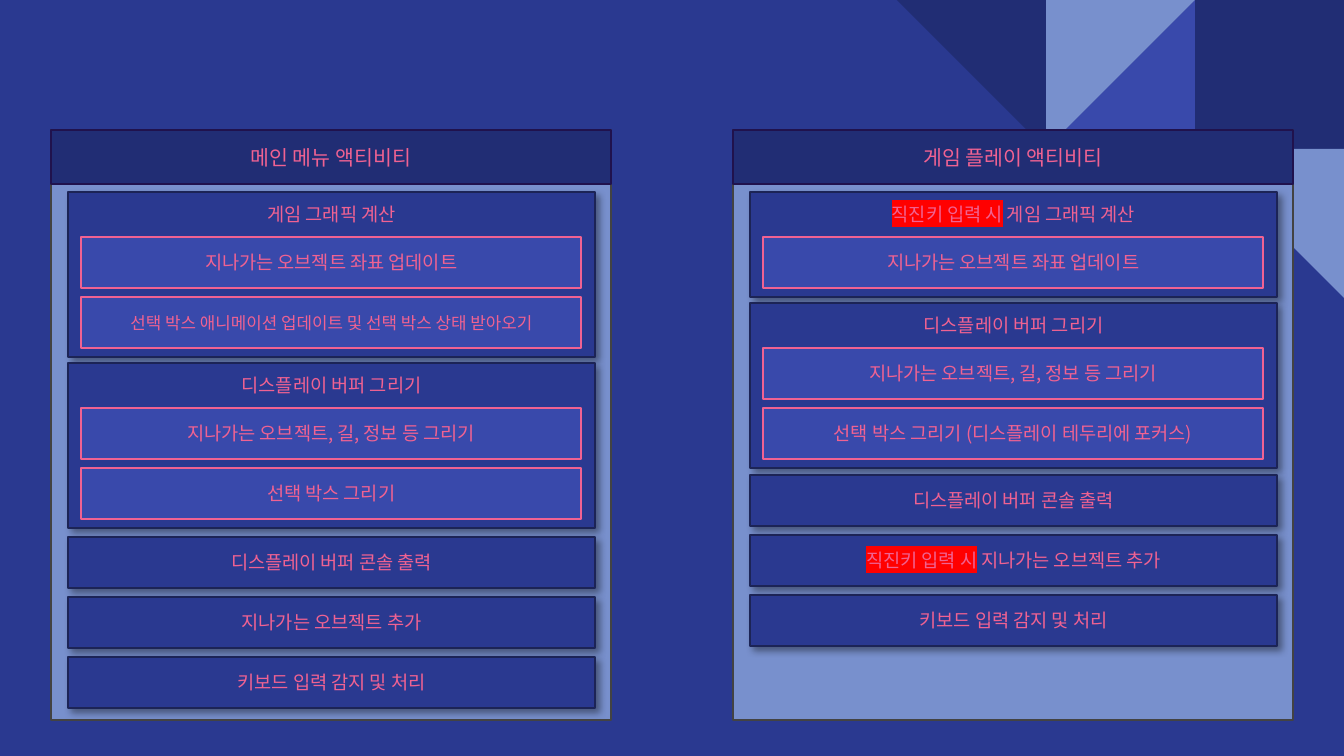
from lxml.etree import SubElement
from pptx import Presentation
from pptx.dml.color import RGBColor
from pptx.enum.shapes import MSO_SHAPE
from pptx.enum.text import MSO_ANCHOR, PP_ALIGN
from pptx.oxml import parse_xml
from pptx.oxml.ns import nsdecls, qn
from pptx.util import Inches, Pt

PX = 914400 / 134.4
FONT = "Noto Sans CJK KR"

BLUE = RGBColor(0x2A, 0x39, 0x90)
NAVY = RGBColor(0x21, 0x2D, 0x74)
INDIGO = RGBColor(0x39, 0x49, 0xAB)
LIGHT = RGBColor(0x78, 0x90, 0xCD)
PINK = RGBColor(0xF0, 0x62, 0x92)
RED = RGBColor(0xFF, 0x00, 0x00)
WHITE = RGBColor(0xFF, 0xFF, 0xFF)
GRAY_EDGE = RGBColor(0x43, 0x43, 0x43)
PURPLE_EDGE = RGBColor(0x20, 0x12, 0x4D)
NAVY_EDGE = RGBColor(0x1C, 0x24, 0x56)

# Panel geometry in px
PANEL_TOP, PANEL_WIDTH, PANEL_HEIGHT, HEADER_HEIGHT = 130, 560, 590, 54
SECTION_TOP, SECTION_INSET, SECTION_WIDTH, SECTION_GAP = 192, 17, 527, 6
ITEM_INSET, ITEM_WIDTH, ROW_HEIGHT, ROW_PITCH, TITLE_HEIGHT = 30, 500, 51, 60, 45

STRAIGHT_KEY = "직진키 입력 시"
MOVE_OBJECTS = "지나가는 오브젝트 좌표 업데이트"
DRAW_BUFFER = "디스플레이 버퍼 그리기"
DRAW_OBJECTS = "지나가는 오브젝트, 길, 정보 등 그리기"
PRINT_BUFFER = "디스플레이 버퍼 콘솔 출력"
READ_KEYS = "키보드 입력 감지 및 처리"


def px(length):
    return round(length * PX)


def add_box(slide, box, fill, edge=None, edge_width=0.75, kind=MSO_SHAPE.RECTANGLE):
    shape = slide.shapes.add_shape(kind, *(px(v) for v in box))
    shape.shadow.inherit = False
    shape.fill.solid()
    shape.fill.fore_color.rgb = fill
    if edge is None:
        shape.line.fill.background()
    else:
        shape.line.color.rgb = edge
        shape.line.width = Pt(edge_width)
    return shape


def add_shadow(shape):
    effects = shape._element.spPr.find(qn("a:effectLst"))
    effects.append(parse_xml(
        f'<a:outerShdw {nsdecls("a")} blurRad="{Pt(4)}" dist="{Pt(3)}" dir="2700000"'
        ' algn="bl" rotWithShape="0"><a:srgbClr val="000000">'
        '<a:alpha val="40000"/></a:srgbClr></a:outerShdw>'))


def add_run(paragraph, text, size, highlight=None):
    run = paragraph.add_run()
    run.text = text
    run.font.size = Pt(size)
    run.font.name = FONT
    run.font.color.rgb = PINK
    properties = run._r.get_or_add_rPr()
    for script in ("a:ea", "a:cs"):
        SubElement(properties, qn(script), typeface=FONT)
    properties.insert(0, parse_xml(
        f'<a:ln {nsdecls("a")} w="{Pt(0.75)}"><a:solidFill>'
        f'<a:srgbClr val="{WHITE}"/></a:solidFill></a:ln>'))
    if highlight is not None:
        properties.find(qn("a:latin")).addprevious(parse_xml(
            f'<a:highlight {nsdecls("a")}><a:srgbClr val="{highlight}"/></a:highlight>'))


def add_label(shape, text, size=10, anchor=MSO_ANCHOR.MIDDLE, spacing=None):
    """Write the label, highlighting the key condition where it leads."""
    frame = shape.text_frame
    frame.word_wrap = True
    frame.vertical_anchor = anchor
    frame.margin_left = frame.margin_right = Inches(0.1)
    frame.margin_top = frame.margin_bottom = Inches(0.1)
    paragraph = frame.paragraphs[0]
    paragraph.alignment = PP_ALIGN.CENTER
    if spacing:
        paragraph.line_spacing = spacing
    if text.startswith(STRAIGHT_KEY):
        add_run(paragraph, STRAIGHT_KEY, size, RED)
        text = text.removeprefix(STRAIGHT_KEY)
    add_run(paragraph, text, size)


def add_block(slide, left, top, height):
    block = add_box(slide, (left + SECTION_INSET, top, SECTION_WIDTH, height), BLUE, NAVY_EDGE)
    add_shadow(block)
    return block


def add_section(slide, left, top, title, items):
    height = TITLE_HEIGHT + ROW_PITCH * len(items)
    section = add_block(slide, left, top, height)
    add_label(section, title, anchor=MSO_ANCHOR.TOP, spacing=0.9)
    for row, (text, size) in enumerate(items):
        item_top = top + TITLE_HEIGHT + row * ROW_PITCH
        item = add_box(slide, (left + ITEM_INSET, item_top, ITEM_WIDTH, ROW_HEIGHT),
                       INDIGO, PINK, 1)
        # The smaller label is centred in its row
        anchor = MSO_ANCHOR.TOP if size == 10 else MSO_ANCHOR.MIDDLE
        add_label(item, text, size, anchor)
    return top + height + SECTION_GAP


def add_activity(slide, left, title, sections, steps_top, steps):
    # Panel and header
    add_box(slide, (left, PANEL_TOP, PANEL_WIDTH, PANEL_HEIGHT), LIGHT, GRAY_EDGE)
    header = add_box(slide, (left, PANEL_TOP, PANEL_WIDTH, HEADER_HEIGHT), NAVY, PURPLE_EDGE)
    add_label(header, title, 11)
    # Sections with items
    top = SECTION_TOP
    for section_title, items in sections:
        top = add_section(slide, left, top, section_title, items)
    # Single steps
    for row, text in enumerate(steps):
        step = add_block(slide, left, steps_top + row * ROW_PITCH, ROW_HEIGHT)
        add_label(step, text)


def add_corner_pattern(slide):
    side = 149
    columns = [1344 - side * n for n in (3, 2, 1)]
    add_box(slide, (columns[2], 0, side, side), NAVY)
    for left, top, rotation, fill in (
        (columns[1], 0, 270, INDIGO),
        (columns[1], 0, 90, LIGHT),
        (columns[0], 0, 180, NAVY),
        (columns[2], side, 180, LIGHT),
    ):
        triangle = add_box(slide, (left, top, side, side), fill, kind=MSO_SHAPE.RIGHT_TRIANGLE)
        triangle.rotation = rotation


def main():
    deck = Presentation()
    deck.slide_width, deck.slide_height = px(1344), px(756)
    slide = deck.slides.add_slide(deck.slide_layouts[6])
    slide.background.fill.solid()
    slide.background.fill.fore_color.rgb = BLUE
    add_corner_pattern(slide)

    # Main menu
    add_activity(
        slide, 51, "메인 메뉴 액티비티",
        [("게임 그래픽 계산", [
            (MOVE_OBJECTS, 10),
            ("선택 박스 애니메이션 업데이트 및 선택 박스 상태 받아오기", 9)]),
         (DRAW_BUFFER, [(DRAW_OBJECTS, 10), ("선택 박스 그리기", 10)])],
        537, [PRINT_BUFFER, "지나가는 오브젝트 추가", READ_KEYS])

    # Game play
    add_activity(
        slide, 733, "게임 플레이 액티비티",
        [(f"{STRAIGHT_KEY} 게임 그래픽 계산", [(MOVE_OBJECTS, 10)]),
         (DRAW_BUFFER, [
             (DRAW_OBJECTS, 10),
             ("선택 박스 그리기 (디스플레이 테두리에 포커스)", 10)])],
        475, [PRINT_BUFFER, f"{STRAIGHT_KEY} 지나가는 오브젝트 추가", READ_KEYS])

    deck.save("out.pptx")


if __name__ == "__main__":
    main()
